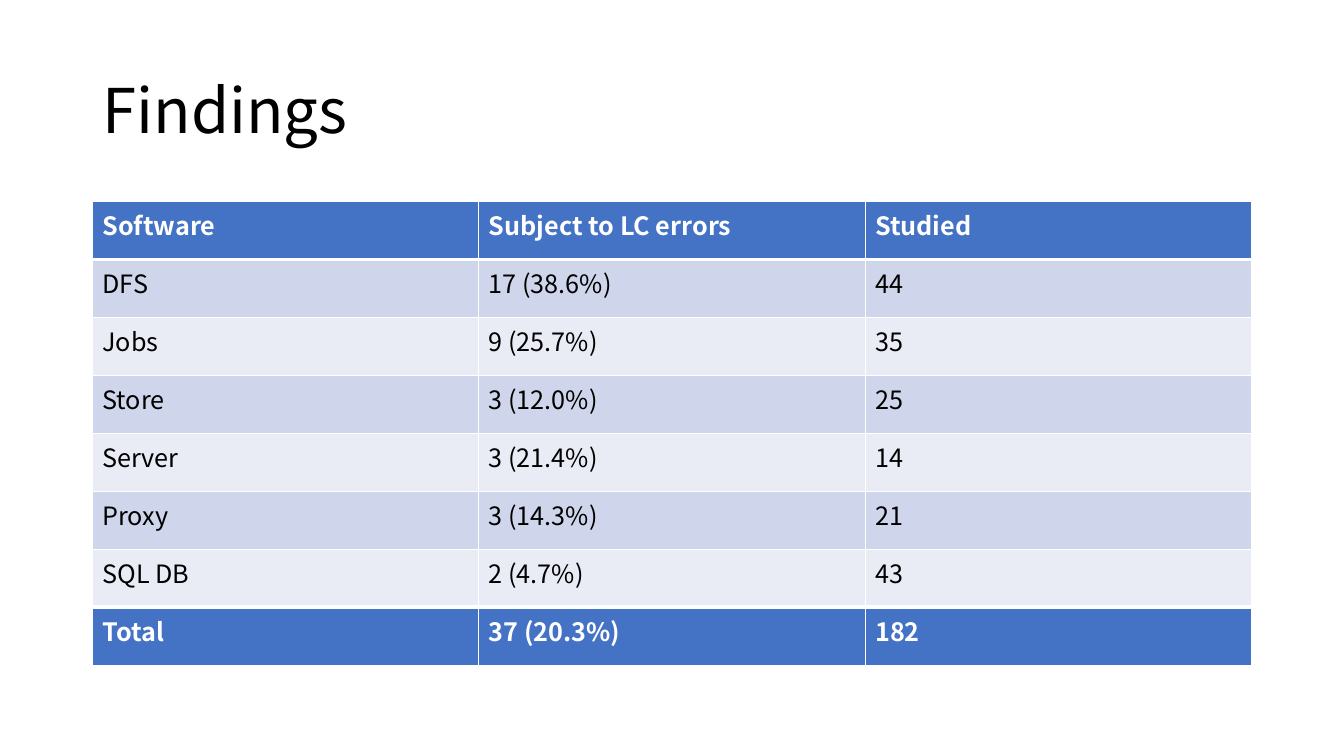
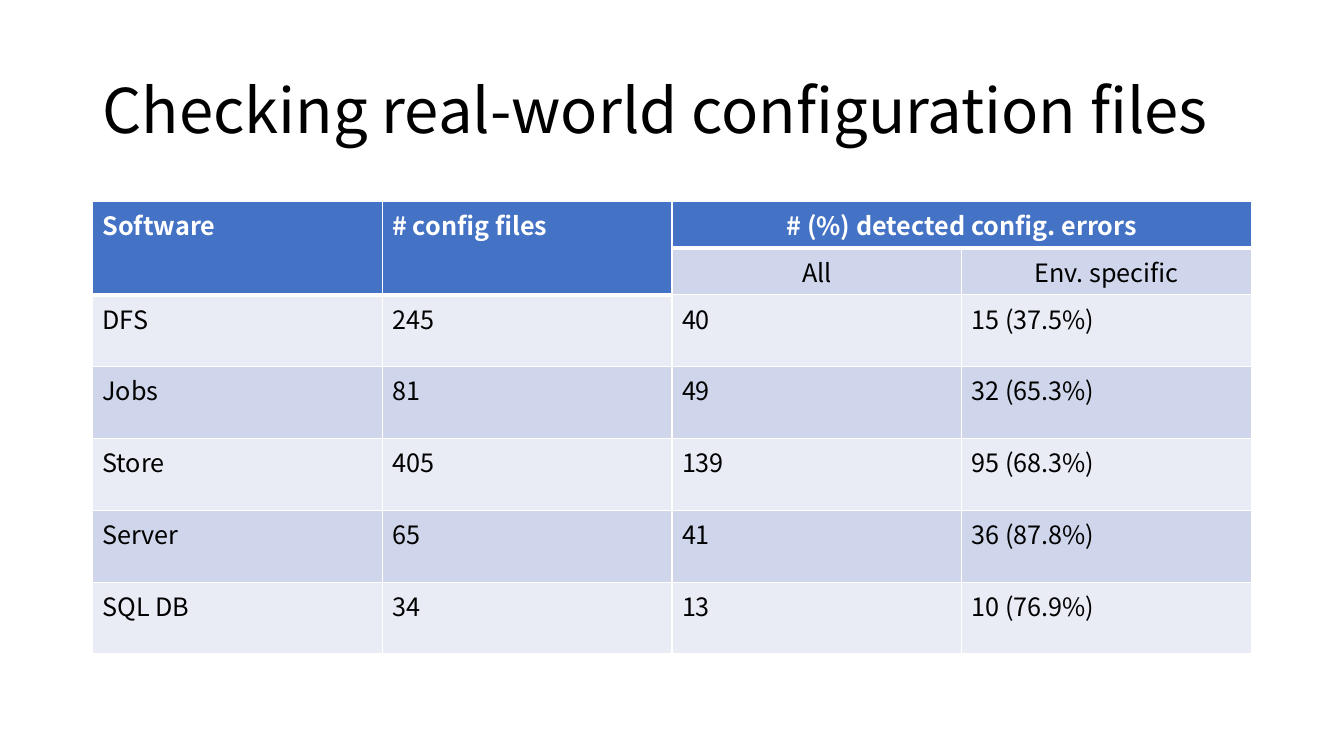
import pptx
import pptx.dml.color
import pptx.enum.text
import pptx.oxml
import pptx.oxml.ns
import pptx.util

Cm = pptx.util.Cm
Pt = pptx.util.Pt
RGBColor = pptx.dml.color.RGBColor
PP_ALIGN = pptx.enum.text.PP_ALIGN

FONT = "Noto Sans CJK SC"
BLACK = RGBColor(0x00, 0x00, 0x00)
WHITE = RGBColor(0xFF, 0xFF, 0xFF)
BLUE = RGBColor(0x44, 0x72, 0xC4)
BAND_DARK = RGBColor(0xCF, 0xD5, 0xEA)
BAND_LIGHT = RGBColor(0xE9, 0xEB, 0xF5)

LEFT, WIDTH = Cm(2.33), Cm(29.21)
TITLE_TOP, TITLE_HEIGHT = Cm(1.01), Cm(3.68)
TABLE_TOP = Cm(5.08)
THIN, THICK = Pt(1), Pt(3)

FINDINGS = [
    ["Software", "Subject to LC errors", "Studied"],
    ["DFS", "17 (38.6%)", "44"],
    ["Jobs", "9 (25.7%)", "35"],
    ["Store", "3 (12.0%)", "25"],
    ["Server", "3 (21.4%)", "14"],
    ["Proxy", "3 (14.3%)", "21"],
    ["SQL DB", "2 (4.7%)", "43"],
    ["Total", "37 (20.3%)", "182"],
]
CONFIG_FILES = [
    ["Software", "# config files", "# (%) detected config. errors", ""],
    ["", "", "All", "Env. specific"],
    ["DFS", "245", "40", "15 (37.5%)"],
    ["Jobs", "81", "49", "32 (65.3%)"],
    ["Store", "405", "139", "95 (68.3%)"],
    ["Server", "65", "41", "36 (87.8%)"],
    ["SQL DB", "34", "13", "10 (76.9%)"],
]


def format_text(tf, size, color, bold=False, align=PP_ALIGN.LEFT):
    for p in tf.paragraphs:
        p.alignment = align
        for r in p.runs:
            r.font.name = FONT
            r.font.size = size
            r.font.bold = bold
            r.font.color.rgb = color


def add_titled_slide(prs, title):
    s = prs.slides.add_slide(prs.slide_layouts[5])
    sp = s.shapes.title
    sp.left, sp.top, sp.width, sp.height = LEFT, TITLE_TOP, WIDTH, TITLE_HEIGHT
    tf = sp.text_frame
    tf.text = title
    tf.word_wrap = True
    tf.auto_size = pptx.enum.text.MSO_AUTO_SIZE.NONE
    tf.vertical_anchor = pptx.enum.text.MSO_ANCHOR.MIDDLE
    tf.paragraphs[0].line_spacing = 0.9
    format_text(tf, Pt(44), BLACK)
    return s


def set_borders(cell, top, bottom):
    """Draw white borders; call before filling, as the schema puts lines first."""
    tc_pr = cell._tc.get_or_add_tcPr()
    for side, width in (("L", THIN), ("R", THIN), ("T", top), ("B", bottom)):
        tc_pr.append(pptx.oxml.parse_xml(
            f'<a:ln{side} {pptx.oxml.ns.nsdecls("a")} w="{width}">'
            f'<a:solidFill><a:srgbClr val="{WHITE}"/></a:solidFill></a:ln{side}>'))


def add_banded_table(s, data, heights, emphasised, centred=(), merges=()):
    """Emphasised cells are blue and bold; thick lines part them from the bands."""
    n_rows, n_cols = len(data), len(data[0])
    table = s.shapes.add_table(n_rows, n_cols, LEFT, TABLE_TOP, WIDTH, sum(heights)).table
    for row, height in zip(table.rows, heights):
        row.height = height
    for first, last in merges:
        table.cell(*first).merge(table.cell(*last))

    def line_width(row, col):
        inside = 0 < row < n_rows
        changes = ((row - 1, col) in emphasised) != ((row, col) in emphasised)
        return THICK if inside and changes else THIN

    for i, values in enumerate(data):
        for j, value in enumerate(values):
            cell = table.cell(i, j)
            strong = (i, j) in emphasised
            if not cell.is_spanned:
                span = cell.span_height if cell.is_merge_origin else 1
                set_borders(cell, line_width(i, j), line_width(i + span, j))
                cell.text_frame.text = value
                format_text(cell.text_frame, Pt(18), WHITE if strong else BLACK, strong,
                            PP_ALIGN.CENTER if (i, j) in centred else PP_ALIGN.LEFT)
            cell.fill.solid()
            band = BAND_DARK if i % 2 else BAND_LIGHT
            cell.fill.fore_color.rgb = BLUE if strong else band


def add_findings(prs):
    s = add_titled_slide(prs, "Findings")
    last = len(FINDINGS) - 1
    add_banded_table(s, FINDINGS, [Cm(1.46)] * len(FINDINGS),
                     emphasised={(i, j) for i in (0, last) for j in range(3)})


def add_config_files(prs):
    s = add_titled_slide(prs, "Checking real-world configuration files")
    add_banded_table(s, CONFIG_FILES, [Cm(0.93)] * 2 + [Cm(1.81)] * 5,
                     emphasised={(0, j) for j in range(4)} | {(1, 0), (1, 1)},
                     centred={(0, 2), (1, 2), (1, 3)},
                     merges=[((0, 0), (1, 0)), ((0, 1), (1, 1)), ((0, 2), (0, 3))])


def main():
    prs = pptx.Presentation()
    prs.slide_width, prs.slide_height = Cm(33.87), Cm(19.05)
    add_findings(prs)
    add_config_files(prs)
    prs.save("out.pptx")


if __name__ == "__main__":
    main()
